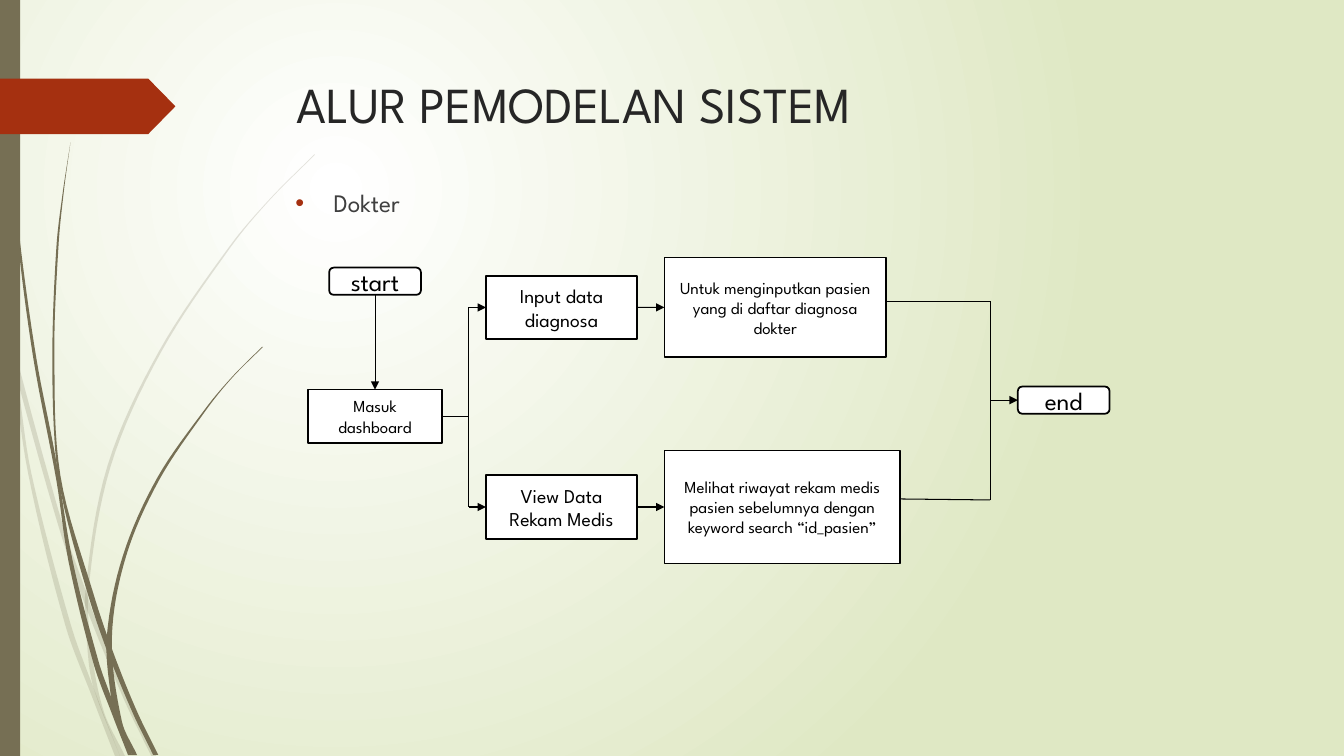
from lxml import etree
from pptx import Presentation, util as u
from pptx.dml.color import RGBColor
from pptx.enum import shapes, text
from pptx.oxml.ns import qn

WIDTH, HEIGHT = 13.33, 7.5
FONT = "League Spartan"
OLIVE, RUST, BLACK, WHITE = "766F54", "A53010", "000000", "FFFFFF"
BACKDROP = (WHITE, "DFE8C4")
TITLE = ("ALUR PEMODELAN SISTEM", 36, "262626", (2.84, 0.68, 9.75, 0.84))
ROLE = ("Dokter", 18, "404040", (2.83, 1.81, 9.75, 0.5))

COLUMNS = {"entry": 3.72, "menu": 5.57, "exit": 10.55}
DETAIL_LEFT = 6.59
ROWS = {"start": 2.79, "input": 3.05, "end": 3.97, "dashboard": 4.13, "view": 5.03}
FORK, MERGE = 4.65, 9.82
EXITS = {"input": 2.99, "view": 4.95}
MERGE_BOTTOM = 4.96

STEPS = {
    "start": ("start", 18, "entry", "start", (0.91, 0.27), True),
    "dashboard": ("Masuk dashboard", 12, "entry", "dashboard", (1.33, 0.53), False),
    "input": ("Input data diagnosa", 14, "menu", "input", (1.5, 0.63), False),
    "view": ("View Data Rekam Medis", 14, "menu", "view", (1.5, 0.63), False),
    "input detail": ("Untuk menginputkan pasien yang di daftar diagnosa dokter",
                     12, None, "input", (2.2, 0.99), False),
    "view detail": ("Melihat riwayat rekam medis pasien sebelumnya dengan keyword search “id_pasien”",
                    12, None, "view", (2.34, 1.12), False),
    "end": ("end", 18, "exit", "end", (0.91, 0.27), True),
}

BLADES = [
    (20, [(0, 2.99), (0.11, 3.48), (0.17, 3.76), (0.58, 5.22), (0.84, 5.99), (1.23, 6.94), (1.5, 7.5)],
     [(0, 2.82), (0.14, 3.45), (0.62, 5.2), (0.85, 5.86), (0.92, 6.07), (1.27, 6.92), (1.55, 7.5)]),
    (20, [(0.11, 3.5), (0.28, 4.7), (0.65, 6.21), (0.92, 6.93), (1.14, 7.5)],
     [(0.11, 3.5), (0.17, 3.76), (0.31, 4.69), (0.7, 6.19), (0.93, 6.83), (1.19, 7.5)]),
    (20, [(3.12, 1.53), (2.68, 1.97), (2.28, 2.44), (1.58, 3.48), (1.07, 4.61), (0.85, 5.84),
          (0.87, 6.46), (0.93, 6.83), (1.19, 7.5)],
     [(3.12, 1.54), (2.68, 1.98), (2.29, 2.45), (1.6, 3.49), (1.1, 4.62), (0.88, 5.84),
      (0.91, 6.46), (1.03, 7.06), (1.24, 7.5)]),
    (100, [(0.03, 0), (0.07, 1.1), (0.17, 2.33), (0.33, 3.55), (0.56, 4.77), (0.68, 5.57),
           (0.93, 6.59), (1.11, 7.08), (1.27, 7.49)],
     [(0.04, 0), (0.08, 1.09), (0.19, 2.32), (0.36, 3.55), (0.55, 4.53), (0.72, 5.56),
      (0.98, 6.57), (1.1, 6.91), (1.31, 7.49)]),
    (100, [(0.7, 1.41), (0.62, 1.93), (0.56, 2.45), (0.52, 3.49), (0.55, 4.49), (0.64, 5.05),
           (0.88, 5.92), (1.06, 6.45), (1.32, 7.08), (1.52, 7.49)],
     [(0.7, 1.41), (0.63, 1.93), (0.58, 2.45), (0.54, 3.49), (0.6, 4.72), (0.93, 5.9),
      (1.13, 6.49), (1.36, 7.06), (1.57, 7.49)]),
    (100, [(2.6, 3.44), (2.31, 3.73), (2.04, 4.05), (1.56, 4.74), (1.22, 5.51), (1.06, 6.31),
           (1.1, 6.91), (1.16, 7.17), (1.31, 7.49)],
     [(2.61, 3.44), (2.31, 3.74), (2.05, 4.06), (1.58, 4.76), (1.25, 5.52), (1.11, 6.33),
      (1.21, 7.16), (1.36, 7.49)]),
]


def color(value):
    return RGBColor.from_string(value)


def inches(values):
    return [u.Inches(value) for value in values]


def smooth_edge(knots, pieces=8):
    last = len(knots) - 1
    slopes = []
    for i in range(last + 1):
        (x0, y0), (x1, y1) = knots[max(i - 1, 0)], knots[min(i + 1, last)]
        slopes.append((x1 - x0) / (y1 - y0))
    points = [knots[0]]
    for i in range(last):
        (x0, y0), (x1, y1) = knots[i], knots[i + 1]
        rise = y1 - y0
        for step in range(1, pieces + 1):
            t = step / pieces
            blend = t * t * (3 - 2 * t)
            bend = rise * t * (1 - t) * (slopes[i] * (1 - t) - slopes[i + 1] * t)
            points.append((x0 + (x1 - x0) * blend + bend, y0 + rise * t))
    return points


def paint(part, fill, line=None, opacity=100):
    part.shadow.inherit = False
    part.fill.solid()
    part.fill.fore_color.rgb = color(fill)
    if opacity < 100:
        tint = part._element.spPr.find(".//" + qn("a:srgbClr"))
        etree.SubElement(tint, qn("a:alpha"), val=str(opacity * 1000))
    if line:
        part.line.color.rgb = color(line)
        part.line.width = u.Pt(1.25)
    else:
        part.line.fill.background()


def write(frame, words, size, ink, align, anchor):
    for name, value in {"text": words, "word_wrap": True, "vertical_anchor": anchor}.items():
        setattr(frame, name, value)
    paragraph = frame.paragraphs[0]
    paragraph.alignment = align
    font = paragraph.runs[0].font
    for name, value in {"name": FONT, "size": u.Pt(size)}.items():
        setattr(font, name, value)
    font.color.rgb = color(ink)
    return paragraph


def draw_backdrop(slide):
    fill = slide.background.fill
    fill.gradient()
    for stop, tone in zip(fill.gradient_stops, BACKDROP):
        stop.color.rgb = color(tone)
    gradient = slide._element.find(".//" + qn("a:gradFill"))
    gradient.remove(gradient.find(qn("a:lin")))
    circle = etree.SubElement(gradient, qn("a:path"), path="circle")
    etree.SubElement(circle, qn("a:fillToRect"), l="50000", t="50000", r="100000", b="100000")


def draw_decor(slide):
    for opacity, left, right in BLADES:
        outline = [inches(point) for point in smooth_edge(left) + smooth_edge(right)[::-1]]
        builder = slide.shapes.build_freeform(*outline[0])
        builder.add_line_segments(outline[1:], close=True)
        paint(builder.convert_to_shape(), OLIVE, opacity=opacity)
    bar = slide.shapes.add_shape(shapes.MSO_SHAPE.RECTANGLE, *inches((0, 0, 0.2, HEIGHT)))
    paint(bar, OLIVE)
    ribbon = slide.shapes.add_shape(shapes.MSO_SHAPE.PENTAGON, *inches((0, 0.78, 1.74, 0.55)))
    ribbon.adjustments[0] = 0.49
    paint(ribbon, RUST)


def draw_heading(slide):
    align, anchor = text.PP_ALIGN.LEFT, text.MSO_ANCHOR.TOP
    title = slide.shapes.title
    words, size, ink, place = TITLE
    for name, value in zip(("left", "top", "width", "height"), inches(place)):
        setattr(title, name, value)
    write(title.text_frame, words, size, ink, align, anchor)
    words, size, ink, place = ROLE
    role = slide.shapes.add_textbox(*inches(place))
    props = write(role.text_frame, words, size, ink, align, anchor)._p.get_or_add_pPr()
    props.set("marL", str(u.Inches(0.38)))
    props.set("indent", str(u.Inches(-0.38)))
    tone = etree.SubElement(props, qn("a:buClr"))
    etree.SubElement(tone, qn("a:srgbClr"), val=RUST)
    etree.SubElement(props, qn("a:buFont"), typeface="Arial")
    etree.SubElement(props, qn("a:buChar"), char="•")


def draw_step(slide, words, size, column, row, extent, rounded):
    width, height = extent
    left = COLUMNS[column] - width / 2 if column else DETAIL_LEFT
    kind = shapes.MSO_SHAPE.ROUNDED_RECTANGLE if rounded else shapes.MSO_SHAPE.RECTANGLE
    step = slide.shapes.add_shape(kind, *inches((left, ROWS[row] - height / 2, width, height)))
    paint(step, WHITE, BLACK)
    write(step.text_frame, words, size, BLACK, text.PP_ALIGN.CENTER, text.MSO_ANCHOR.MIDDLE)
    return step


def link(slide, begin=(0, 0), end=(0, 0), source=None, target=None, arrow=False):
    line = slide.shapes.add_connector(shapes.MSO_CONNECTOR.STRAIGHT, *inches(begin + end))
    if source:
        line.begin_connect(*source)
    if target:
        line.end_connect(*target)
    line.line.color.rgb = color(BLACK)
    line.line.width = u.Pt(0.75)
    if arrow:
        etree.SubElement(line.line._get_or_add_ln(), qn("a:tailEnd"), type="triangle")
    etree.SubElement(line._element.spPr, qn("a:effectLst"))


def draw_flow(slide):
    steps = {name: draw_step(slide, *step) for name, step in STEPS.items()}
    link(slide, source=(steps["start"], 2), target=(steps["dashboard"], 0), arrow=True)
    link(slide, end=(FORK, ROWS["dashboard"]), source=(steps["dashboard"], 3))
    link(slide, (FORK, ROWS["input"]), (FORK, ROWS["view"]))
    for name, level in EXITS.items():
        detail = steps[name + " detail"]
        link(slide, (FORK, ROWS[name]), target=(steps[name], 1), arrow=True)
        link(slide, source=(steps[name], 3), target=(detail, 1), arrow=True)
        edge = (detail.left + detail.width) / u.Inches(1)
        link(slide, (edge, level), (MERGE, MERGE_BOTTOM if name == "view" else level))
    link(slide, (MERGE, EXITS["input"]), (MERGE, MERGE_BOTTOM))
    link(slide, (MERGE, ROWS["end"]), target=(steps["end"], 1), arrow=True)


def main():
    deck = Presentation()
    deck.slide_width, deck.slide_height = inches((WIDTH, HEIGHT))
    slide = deck.slides.add_slide(deck.slide_layouts.get_by_name("Title Only"))
    for draw in (draw_backdrop, draw_decor, draw_heading, draw_flow):
        draw(slide)
    deck.save("out.pptx")


if __name__ == "__main__":
    main()
